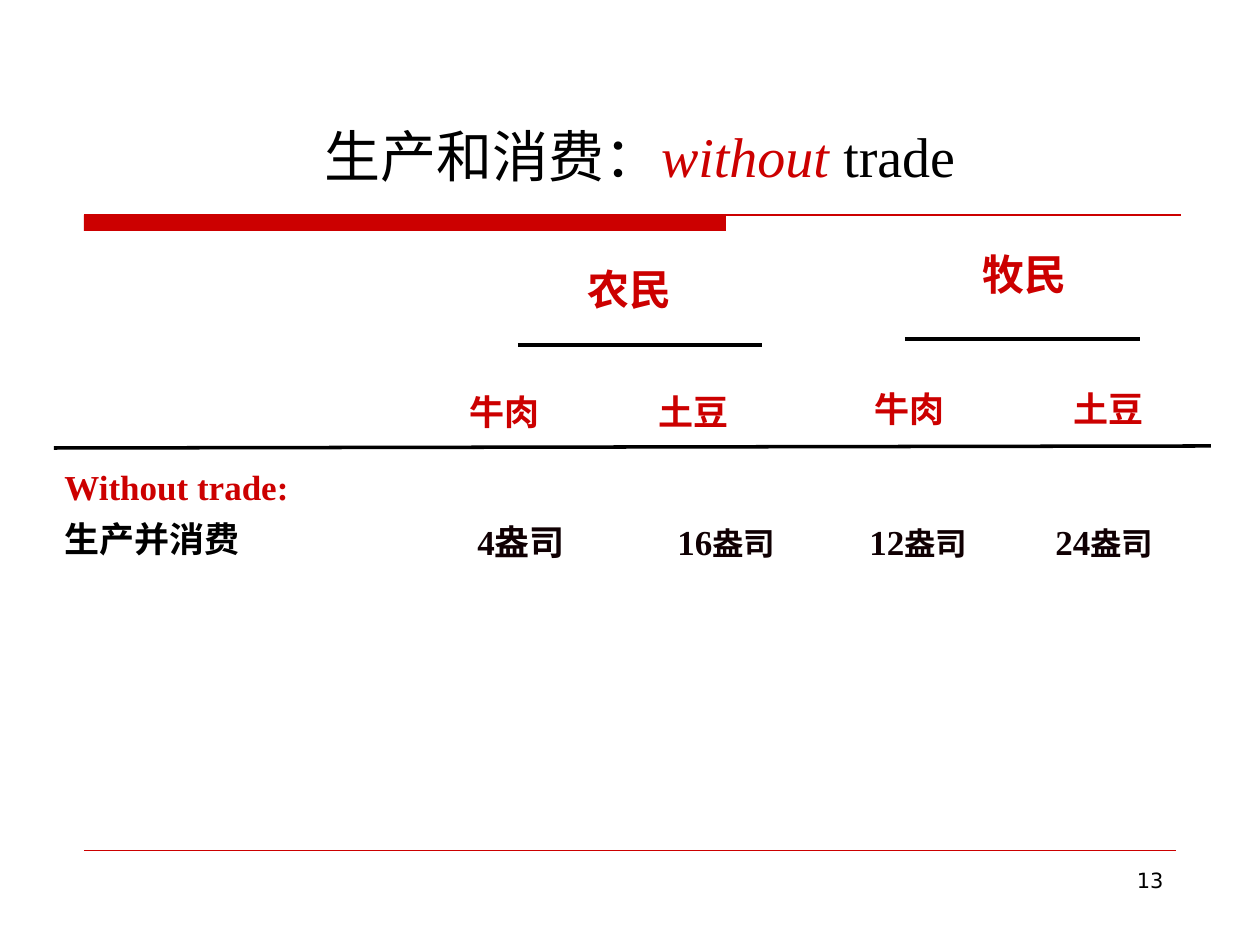
from dataclasses import dataclass

from lxml import etree
from pptx import Presentation
from pptx.dml.color import RGBColor
from pptx.enum.shapes import MSO_CONNECTOR, MSO_SHAPE
from pptx.enum.text import MSO_ANCHOR, MSO_AUTO_SIZE, PP_ALIGN
from pptx.oxml.ns import qn
from pptx.util import Pt

STRAIGHT = MSO_CONNECTOR.STRAIGHT
RECTANGLE = MSO_SHAPE.RECTANGLE
LEFT, CENTER, RIGHT = PP_ALIGN.LEFT, PP_ALIGN.CENTER, PP_ALIGN.RIGHT
BOTTOM = MSO_ANCHOR.BOTTOM
FIT_SHAPE, NO_FIT = MSO_AUTO_SIZE.SHAPE_TO_FIT_TEXT, MSO_AUTO_SIZE.NONE

PIXELS_PER_INCH = 126
EMU_PER_INCH = 914400
INSET = 13


@dataclass(frozen=True)
class Theme:
    red: str = "CC0000"
    black: str = "000000"
    value: str = "100003"
    serif: str = "Times New Roman"
    sans: str = "DejaVu Sans"
    title: int = 32
    group: int = 24
    body: int = 20
    unit: int = 18
    number: int = 12


THEME = Theme()


@dataclass(frozen=True)
class Span:
    text: str
    size: int = THEME.body
    color: str = THEME.red
    bold: bool = True
    italic: bool = False
    font: str = THEME.serif


@dataclass(frozen=True)
class TextBlock:
    area: tuple[int, int, int, int]
    lines: list[list[Span]]
    align: PP_ALIGN = LEFT
    before: float = 12.5
    spacing: float = 1.0
    columns: tuple[int, ...] = ()


@dataclass(frozen=True)
class Rule:
    start: tuple[int, int]
    end: tuple[int, int]
    color: str = THEME.black
    width: float = 2


TAB = Span("\t", THEME.title, bold=False)


def px(length: int) -> int:
    return round(length * EMU_PER_INCH / PIXELS_PER_INCH)


def apply(target, values: dict) -> None:
    for name, value in values.items():
        setattr(target, name, value)


def place(shape, area: tuple[int, int, int, int]) -> None:
    apply(shape, dict(zip(("left", "top", "width", "height"), map(px, area))))


def add_spans(para, spans: list[Span]) -> None:
    for span in spans:
        run = para.add_run()
        run.text = span.text
        apply(run.font, {"name": span.font, "size": Pt(span.size),
                         "bold": span.bold, "italic": span.italic})
        run.font.color.rgb = RGBColor.from_string(span.color)


def add_tab_stops(para, offsets: list[int]) -> None:
    tab_list = etree.SubElement(para._p.get_or_add_pPr(), qn("a:tabLst"))
    for offset in offsets:
        etree.SubElement(tab_list, qn("a:tab"), pos=str(px(offset)), algn="l")


def add_text(page, block: TextBlock) -> None:
    """Add a text box; columns are page positions reached by tabs."""
    box = page.shapes.add_textbox(*map(px, block.area))
    frame = box.text_frame
    apply(frame, {"word_wrap": True, "auto_size": FIT_SHAPE})
    for index, spans in enumerate(block.lines):
        para = frame.add_paragraph() if index else frame.paragraphs[0]
        apply(para, {"alignment": block.align, "space_before": Pt(block.before),
                     "line_spacing": block.spacing})
        if block.columns:
            text_left = block.area[0] + INSET
            add_tab_stops(para, [column - text_left for column in block.columns])
        add_spans(para, spans)


def add_rule(page, rule: Rule) -> None:
    line = page.shapes.add_connector(STRAIGHT, *map(px, rule.start + rule.end))
    line.line.width = Pt(rule.width)
    line.line.color.rgb = RGBColor.from_string(rule.color)
    etree.SubElement(line._element.spPr, qn("a:effectLst"))


def add_title_bar(page) -> None:
    bar = page.shapes.add_shape(RECTANGLE, *map(px, (84, 215, 642, 16)))
    bar.shadow.inherit = False
    bar.fill.solid()
    bar.fill.fore_color.rgb = RGBColor.from_string(THEME.red)
    bar.line.fill.background()


def fill_title(page) -> None:
    title = page.shapes.title
    place(title, (73, 50, 1134, 145))
    frame = title.text_frame
    apply(frame, {"word_wrap": True, "auto_size": NO_FIT, "vertical_anchor": BOTTOM})
    para = frame.paragraphs[0]
    para.alignment = CENTER
    add_spans(para, [
        Span("生产和消费：", THEME.title, THEME.black, bold=False),
        Span("without", THEME.title, bold=False, italic=True),
        Span(" trade", THEME.title, THEME.black, bold=False),
    ])


def group_heading(text: str, left: int, top: int) -> TextBlock:
    return TextBlock((left, top, 210, 63), [[Span(text, THEME.group)]], CENTER, 15)


def goods_heading(left: int, top: int, columns: tuple[int, int]) -> TextBlock:
    spans = [TAB, Span("牛肉"), TAB, Span("土豆")]
    return TextBlock((left, top, 431, 81), [spans], columns=columns)


def amounts(left: int, top: int, columns: tuple[int, ...]) -> TextBlock:
    spans = [TAB, Span("4盎司", color=THEME.value)]
    for amount in ("16", "12", "24"):
        spans += [TAB, Span(amount, color=THEME.value),
                  Span("盎司", THEME.unit, THEME.value, font=THEME.sans)]
    return TextBlock((left, top, 840, 81), [spans], before=11.2, columns=columns)


BLOCKS = [
    TextBlock((903, 861, 273, 66),
              [[Span("13", THEME.number, THEME.black, False, font=THEME.sans)]],
              RIGHT, 0),
    group_heading("农民", 525, 257),
    group_heading("牧民", 920, 242),
    goods_heading(421, 363, (470, 659)),
    goods_heading(789, 360, (875, 1074)),
    amounts(396, 493, (478, 678, 870, 1056)),
    TextBlock((52, 471, 325, 93),
              [[Span("Without trade:")], [Span("生产并消费", color=THEME.black)]],
              spacing=0.7),
]

RULES = [
    Rule((84, 215), (1181, 215), THEME.red, 0.75),
    Rule((84, 850), (1176, 850), THEME.red, 0.25),
    Rule((54, 448), (1211, 446)),
    Rule((518, 345), (762, 345)),
    Rule((905, 339), (1140, 339)),
]


def main() -> None:
    deck = Presentation()
    apply(deck, {"slide_width": px(1260), "slide_height": px(945)})
    page = deck.slides.add_slide(deck.slide_layouts.get_by_name("Title Only"))
    add_title_bar(page)
    fill_title(page)
    for block in BLOCKS:
        add_text(page, block)
    for rule in RULES:
        add_rule(page, rule)
    deck.save("out.pptx")


if __name__ == "__main__":
    main()
